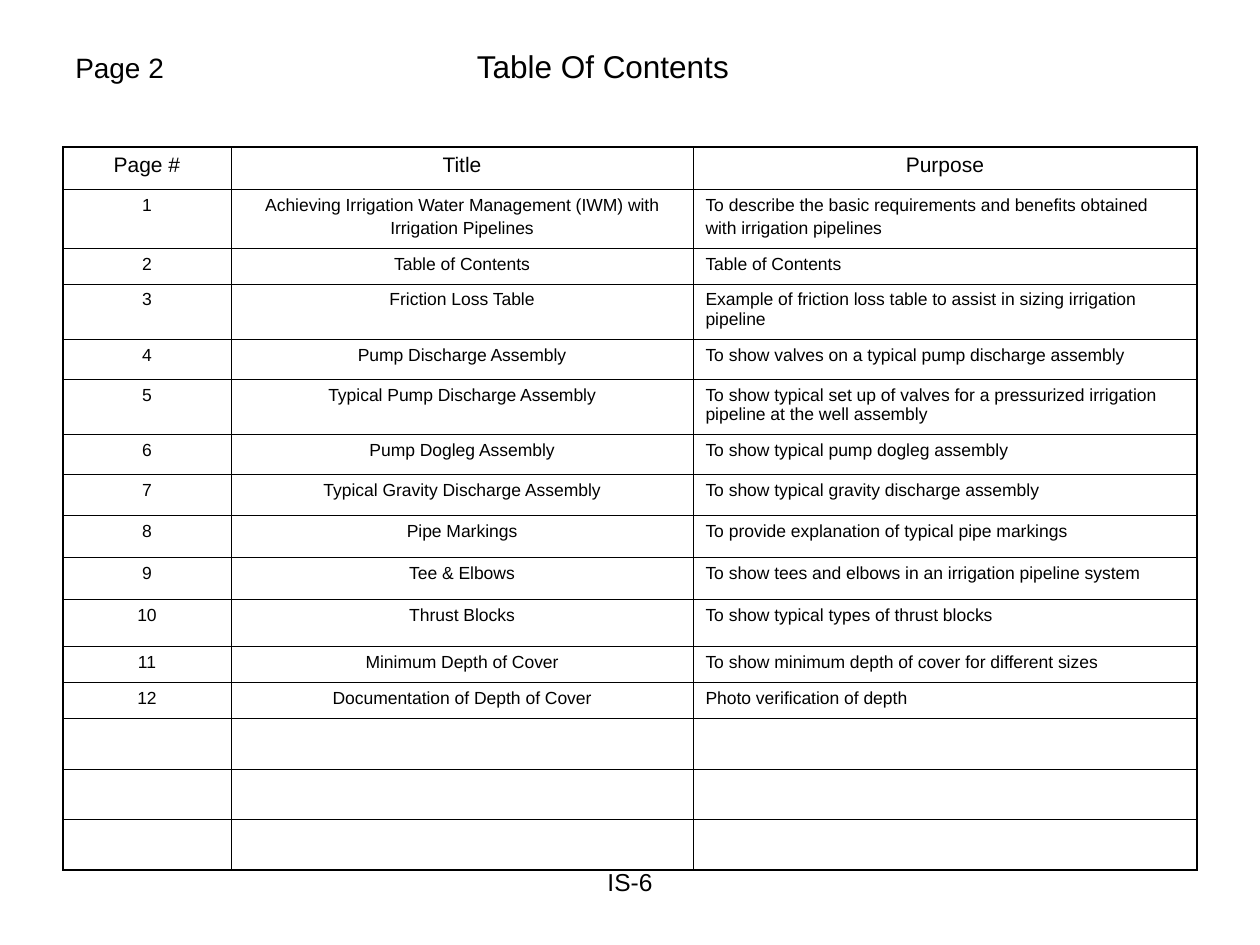
from pptx import Presentation
from pptx.dml.color import RGBColor
from pptx.enum.text import MSO_ANCHOR as ANCHOR, PP_ALIGN as ALIGN
from pptx.oxml.xmlchemy import OxmlElement as Element
from pptx.util import Pt


def color(hex_code):
    return RGBColor.from_string(hex_code)


def write(p, text, size=10, font="Arial", fill="000000", align=None, before=None):
    """Add one formatted run to a paragraph."""
    if align is not None:
        p.alignment = align
    if before is not None:
        p.space_before = Pt(before)
    r = p.add_run()
    r.text = text
    r.font.size = Pt(size)
    r.font.name = font
    r.font.color.rgb = color(fill)


class Deck:
    INK = "000000"
    OUTER, INNER = 1.08, 0.45

    def __init__(self, width, height):
        self.prs = Presentation()
        self.prs.slide_width, self.prs.slide_height = Pt(width), Pt(height)
        self.s = self.prs.slides.add_slide(self.prs.slide_layouts[6])

    def text_box(self, x, y, w, h, anchor=ANCHOR.TOP):
        tf = self.s.shapes.add_textbox(Pt(x), Pt(y), Pt(w), Pt(h)).text_frame
        tf.word_wrap = True
        tf.vertical_anchor = anchor
        return tf.paragraphs[0]

    def tab_stop(self, p, position):
        tabs = Element("a:tabLst")
        tab = Element("a:tab")
        tab.set("pos", str(Pt(position)))
        tab.set("algn", "l")
        tabs.append(tab)
        p._p.get_or_add_pPr().append(tabs)

    def border(self, cell, side, width):
        ln = Element(f"a:ln{side}")
        ln.set("w", str(Pt(width)))
        fill = Element("a:solidFill")
        clr = Element("a:srgbClr")
        clr.set("val", self.INK)
        fill.append(clr)
        ln.append(fill)
        cell._tc.get_or_add_tcPr().append(ln)

    def table(self, x, y, widths, heights, rows):
        shape = self.s.shapes.add_table(len(heights), len(widths), Pt(x), Pt(y),
                                        Pt(sum(widths)), Pt(sum(heights)))
        table = shape.table
        table.first_row = table.horz_banding = False
        for column, width in zip(table.columns, widths):
            column.width = Pt(width)
        for row, height in zip(table.rows, heights):
            row.height = Pt(height)

        # Heavy frame around the table, thin rules inside
        last_row, last_col = len(heights) - 1, len(widths) - 1
        for i in range(len(heights)):
            for j in range(len(widths)):
                cell = table.cell(i, j)
                edges = {"L": j == 0, "R": j == last_col, "T": i == 0, "B": i == last_row}
                for side, outer in edges.items():
                    self.border(cell, side, self.OUTER if outer else self.INNER)
                cell.fill.background()

        # Header and entries; only the purposes are left-aligned
        for i, row in enumerate(rows):
            for j, text in enumerate(row):
                tf = table.cell(i, j).text_frame
                align = ALIGN.LEFT if i and j == last_col else ALIGN.CENTER
                for n, line in enumerate(text.split("\n")):
                    p = tf.add_paragraph() if n else tf.paragraphs[0]
                    write(p, line, size=10 if i else 12, align=align,
                          before=2.5 if n else None)


HEADER = ("Page #", "Title", "Purpose")
ENTRIES = [
    ("Achieving Irrigation Water Management (IWM) with\nIrrigation Pipelines",
     "To describe the basic requirements and benefits obtained\nwith irrigation pipelines"),
    ("Table of Contents", "Table of Contents"),
    ("Friction Loss Table",
     "Example of friction loss table to assist in sizing irrigation pipeline"),
    ("Pump Discharge Assembly", "To show valves on a typical pump discharge assembly"),
    ("Typical Pump Discharge Assembly",
     "To show typical set up of valves for a pressurized irrigation pipeline at the well assembly"),
    ("Pump Dogleg Assembly", "To show typical pump dogleg assembly"),
    ("Typical Gravity Discharge Assembly", "To show typical gravity discharge assembly"),
    ("Pipe Markings", "To provide explanation of typical pipe markings"),
    ("Tee & Elbows", "To show tees and elbows in an irrigation pipeline system"),
    ("Thrust Blocks", "To show typical types of thrust blocks"),
    ("Minimum Depth of Cover", "To show minimum depth of cover for different sizes"),
    ("Documentation of Depth of Cover", "Photo verification of depth"),
]
COLUMN_WIDTHS = [96, 264, 288]
ROW_HEIGHTS = [24, 33.75, 20.5, 31.5, 23, 31.5, 23, 23.5, 24, 24, 26.5, 21] + [20.5] * 4


def main():
    deck = Deck(720, 540)

    # Page number and title on one line
    p = deck.text_box(36, 21.6, 648, 32.4, anchor=ANCHOR.MIDDLE)
    deck.tab_stop(p, 229.4)
    write(p, "Page 2\t", size=16)
    write(p, "Table Of Contents", size=18)

    # Contents table with spare rows at the end
    rows = [HEADER] + [(str(n), *entry) for n, entry in enumerate(ENTRIES, 1)]
    deck.table(36, 84, COLUMN_WIDTHS, ROW_HEIGHTS, rows)

    # Sheet code
    write(deck.text_box(246, 492, 228, 37.5), "IS-6", size=14, align=ALIGN.CENTER)

    deck.prs.save("out.pptx")


if __name__ == "__main__":
    main()
